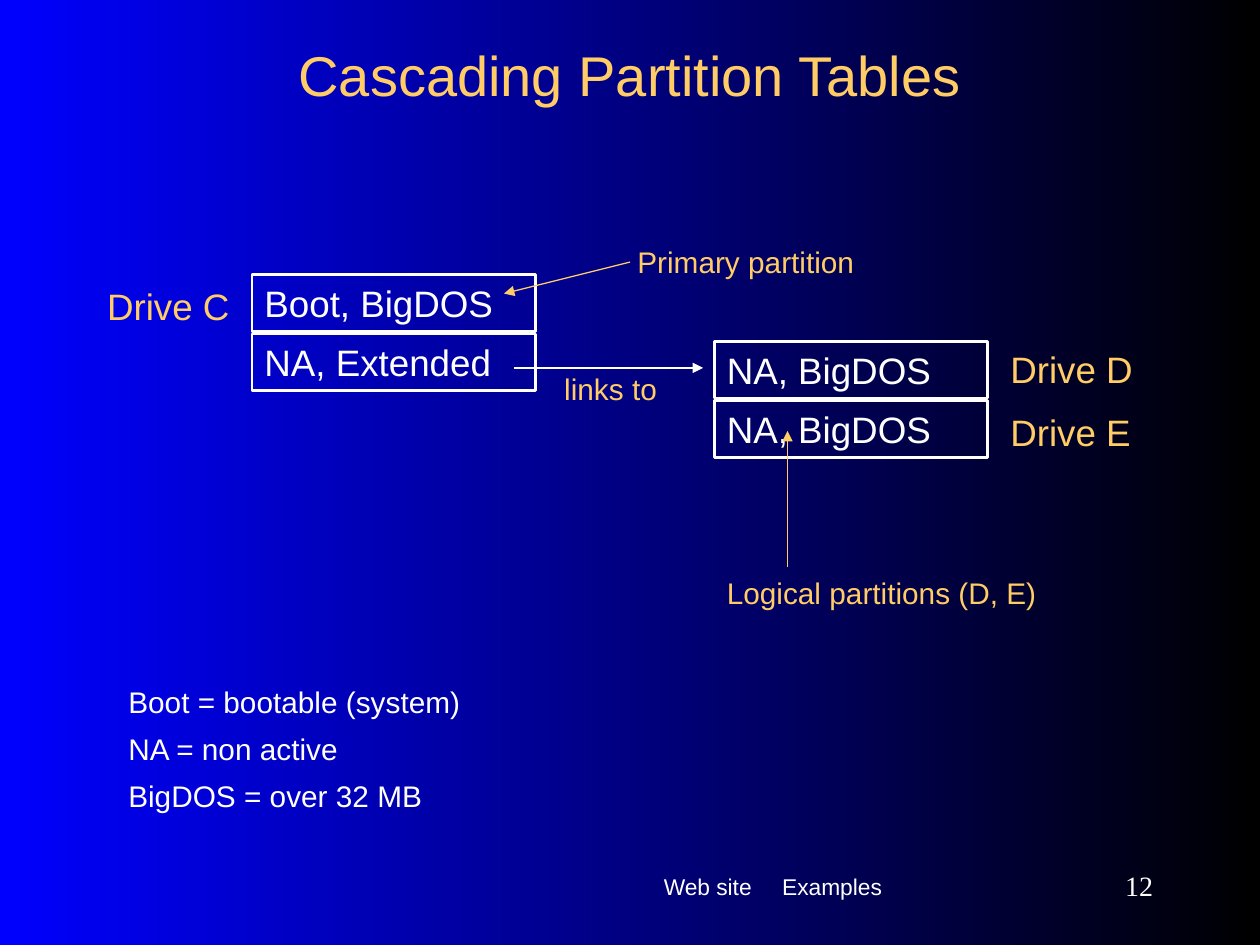
from dataclasses import dataclass

from pptx import Presentation
from pptx.dml.color import RGBColor
from pptx.enum.shapes import MSO_CONNECTOR, MSO_SHAPE
from pptx.enum.text import MSO_ANCHOR, PP_ALIGN
from pptx.oxml.ns import qn
from pptx.util import Inches, Pt
from lxml.etree import SubElement


@dataclass(frozen=True)
class Theme:
    white: RGBColor = RGBColor(0xFF, 0xFF, 0xFF)
    gold: RGBColor = RGBColor(0xFF, 0xCC, 0x66)
    black: RGBColor = RGBColor(0, 0, 0)
    blue: RGBColor = RGBColor(0, 0, 0xFF)
    font: str = "Arial"
    number_font: str = "Times New Roman"
    title: int = 32
    entry: int = 21
    note: int = 17
    number: int = 16
    footer: int = 13


T = Theme()


def write(sp, lines, size, color, inset=0.15, align=PP_ALIGN.LEFT,
          anchor=MSO_ANCHOR.TOP, font=T.font, spacing=None, before=0, tab=None):
    tf = sp.text_frame
    tf.word_wrap = True
    tf.vertical_anchor = anchor
    tf.margin_left = tf.margin_right = Inches(0.1)
    tf.margin_top = tf.margin_bottom = Inches(inset)
    for i, line in enumerate(lines):
        p = tf.add_paragraph() if i else tf.paragraphs[0]
        p.text = line
        p.alignment = align
        if spacing:
            p.line_spacing = spacing
        if i:
            p.space_before = Pt(before)
        if tab:
            tabs = SubElement(p._p.get_or_add_pPr(), qn("a:tabLst"))
            SubElement(tabs, qn("a:tab"), pos=str(Inches(tab)), algn="l")
        p.font.name = font
        p.font.size = Pt(size)
        p.font.color.rgb = color


def add_text(s, box, *lines, size=T.note, color=T.gold, **style):
    sp = s.shapes.add_textbox(*map(Inches, box))
    write(sp, lines, size, color, **style)


def add_arrow(s, start, end, color):
    c = s.shapes.add_connector(MSO_CONNECTOR.STRAIGHT, *map(Inches, start + end))
    c.line.color.rgb = color
    c.line.width = Pt(0.75)
    SubElement(c.line._get_or_add_ln(), qn("a:tailEnd"), type="triangle")
    SubElement(c._element.spPr, qn("a:effectLst"))


def add_background(s):
    fill = s.background.fill
    fill.gradient()
    fill.gradient_angle = 180
    for stop, color in zip(fill.gradient_stops, (T.black, T.blue)):
        stop.color.rgb = color


def add_title(s, box):
    add_text(s, box, "Cascading Partition Tables", size=T.title, inset=0.05,
             align=PP_ALIGN.CENTER, anchor=MSO_ANCHOR.MIDDLE)


def add_partition_table(s, box, entries):
    left, top, width, height = box
    gap = 0.02
    row = (height - gap * (len(entries) - 1)) / len(entries)
    for i, entry in enumerate(entries):
        y = top + i * (row + gap)
        sp = s.shapes.add_shape(MSO_SHAPE.RECTANGLE, *map(Inches, (left, y, width, row)))
        sp.shadow.inherit = False
        sp.fill.background()
        sp.line.color.rgb = T.white
        sp.line.width = Pt(1.5)
        write(sp, [entry], T.entry, T.white, inset=0.05)


def add_drive_labels(s, box, drives, align=PP_ALIGN.LEFT):
    left, top, width, height = box
    for i, drive in enumerate(drives):
        add_text(s, (left, top + 0.5 * i, width, height), drive, size=T.entry, align=align)


def add_callouts(s, box):
    left, top, width, height = box
    add_text(s, (left + 0.58, top, 2.29, 0.58), "Primary partition")
    add_text(s, (left, top + 1.01, 1.33, 0.58), "links to")
    add_text(s, (left + 1.29, top + height - 0.58, width - 1.29, 0.58),
             "Logical partitions (D, E)")
    add_arrow(s, (5, 2.08), (4, 2.33), T.gold)
    add_arrow(s, (4.08, 2.92), (5.58, 2.92), T.white)
    add_arrow(s, (6.25, 4.5), (6.25, 3.42), T.gold)


def add_legend(s, box):
    add_text(s, box, "Boot = bootable (system)", "NA = non active",
             "BigDOS = over 32 MB", color=T.white, spacing=0.8, before=10.6)


def add_footer(s, box):
    left, top, width, height = box
    add_text(s, (left, top, 3, height), "Web site\tExamples",
             size=T.footer, color=T.white, tab=0.94)
    add_text(s, (left + width - 1.08, top, 1.08, 0.42), "12", size=T.number,
             color=T.white, inset=0.05, align=PP_ALIGN.RIGHT,
             anchor=MSO_ANCHOR.MIDDLE, font=T.number_font)


def main():
    prs = Presentation()
    prs.slide_width, prs.slide_height = Inches(10), Inches(7.5)
    s = prs.slides.add_slide(prs.slide_layouts[6])
    add_background(s)
    add_title(s, (0.75, 0.25, 8.5, 0.67))
    add_partition_table(s, (2, 2.18, 2.25, 0.92), ["Boot, BigDOS", "NA, Extended"])
    add_partition_table(s, (5.67, 2.71, 2.17, 0.92), ["NA, BigDOS", "NA, BigDOS"])
    add_drive_labels(s, (0.5, 2.1, 1.42, 0.65), ["Drive C"], PP_ALIGN.RIGHT)
    add_drive_labels(s, (7.92, 2.6, 1.83, 0.65), ["Drive D", "Drive E"])
    add_callouts(s, (4.38, 1.79, 4.62, 3.21))
    add_legend(s, (0.92, 5.33, 3.67, 1.28))
    add_footer(s, (5.17, 6.82, 4.08, 0.52))
    prs.save("out.pptx")


if __name__ == "__main__":
    main()
